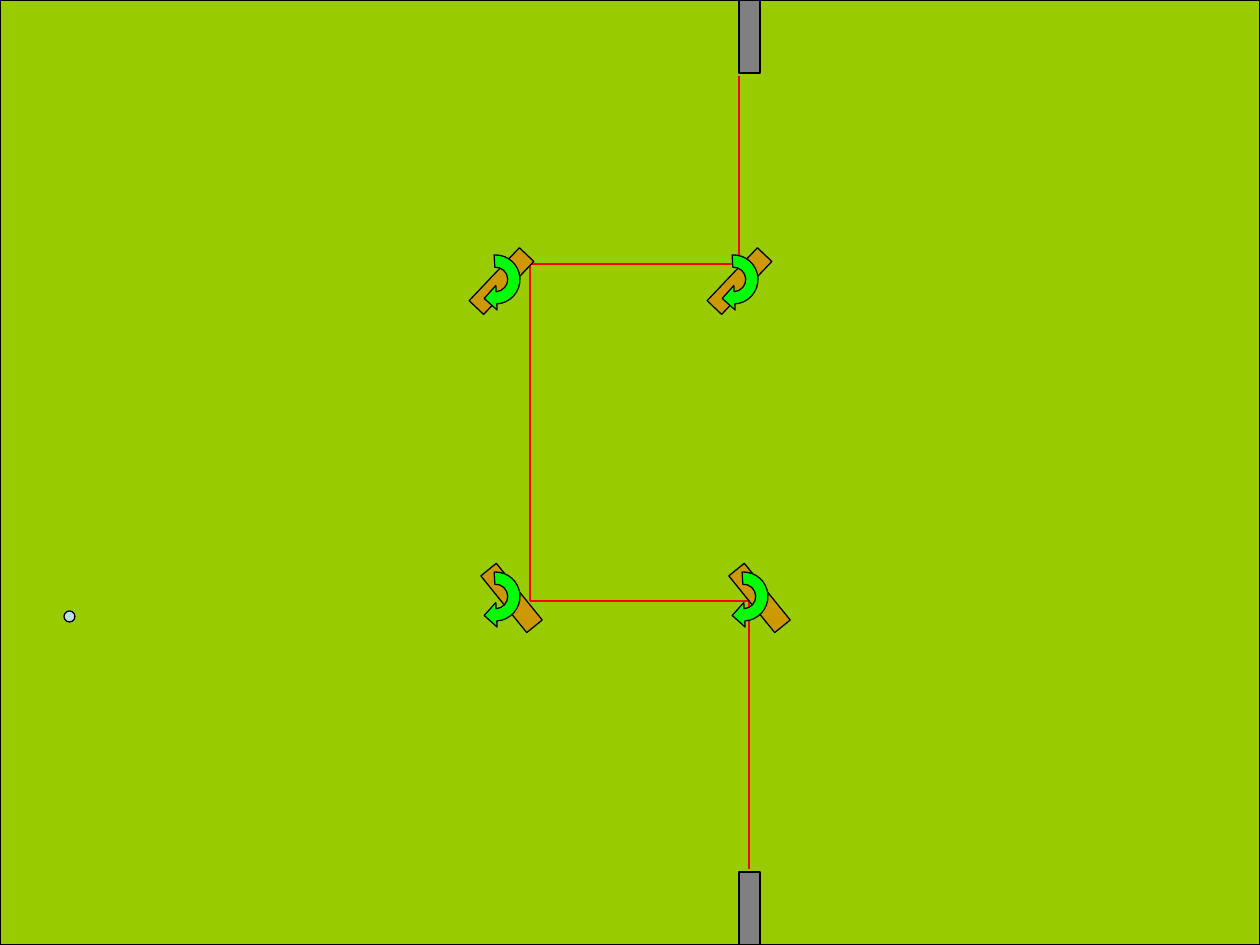
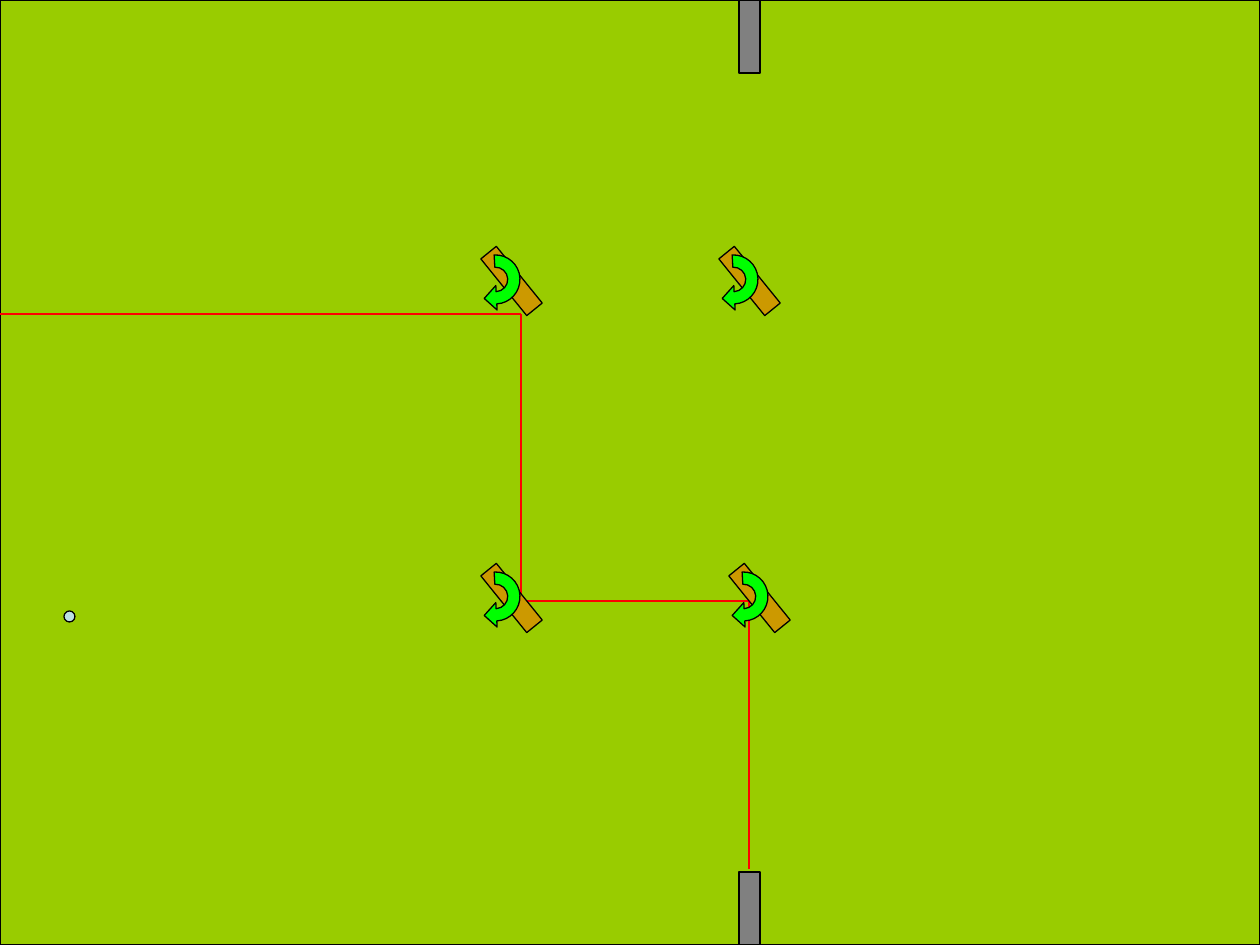
import pptx
import pptx.util
import pptx.dml.color
import pptx.enum.shapes
import pptx.oxml

# Content, in px
WIDTH, HEIGHT = 1260, 945
COLORS = {"field": "99CC00", "gate": "808080", "beam": "FF0000", "paddle": "CC9900",
          "turn": "00FF00", "ball": "BBE0E3", "outline": "000000"}
GATE_X, GATE_W, GATE_H = 739, 21, 73
BALL = (64, 611, 11, 11)
PADDLE_W, PADDLE_H = 73, 20
TURN_SIZE, TURN_ROTATION = 49, 86.9

# Lean of a paddle: its rotation and its offset from the turn arrow's box
LEANS = {"back": (51, 4, 16), "forward": (313.5, -6, 16)}

# Turn arrow around its centre, in hundredths of an eighth of its radius
OUTER_R, INNER_R = 800, 400
HEAD = [(1000, 0), (600, 400), (200, 0)]
KAPPA = 0.5523  # handle length of a quarter circle

# Each scene: corners of the beam, paddles as (turn left, turn top, lean),
# and whether the ball lies over the paddles
LOWER_RIGHT, LOWER_LEFT = (719, 572, "back"), (471, 572, "back")
SCENES = [
    {"beam": [(749, 869), (749, 601), (530, 601), (530, 264), (739, 264), (739, 76)],
     "paddles": [LOWER_RIGHT, LOWER_LEFT, (471, 255, "forward"), (709, 255, "forward")],
     "ball_on_top": True},
    {"beam": [(749, 869), (749, 601), (521, 601), (521, 314), (0, 314)],
     "paddles": [LOWER_LEFT, (471, 255, "back"), (709, 255, "back"), LOWER_RIGHT],
     "ball_on_top": False},
]

SHAPES = pptx.enum.shapes.MSO_SHAPE
LINE_WIDTH = pptx.util.Pt(0.75)
NS = 'xmlns:a="http://schemas.openxmlformats.org/drawingml/2006/main"'


def px(length):
    return round(length * 914400 / 126)


def rgb(name):
    return pptx.dml.color.RGBColor.from_string(COLORS[name])


def paint(shape, color):
    shape.shadow.inherit = False
    shape.fill.solid()
    shape.fill.fore_color.rgb = rgb(color)
    shape.line.color.rgb = rgb("outline")
    shape.line.width = LINE_WIDTH


def add_part(shapes, kind, box, color):
    part = shapes.add_shape(kind, *map(px, box))
    paint(part, color)
    return part


def add_beam(shapes, corners):
    for start, end in zip(corners, corners[1:]):
        ray = shapes.add_connector(pptx.enum.shapes.MSO_CONNECTOR.STRAIGHT,
                                   *map(px, start + end))
        ray.line.color.rgb = rgb("beam")
        ray.line.width = LINE_WIDTH
        ray._element.spPr.append(pptx.oxml.parse_xml(f"<a:effectLst {NS}/>"))


def step(tag, *points):
    # One path command, measured from the corner of the arrow's box
    pts = "".join(f'<a:pt x="{round(x + OUTER_R)}" y="{round(y + OUTER_R)}"/>'
                  for x, y in points)
    return f"<a:{tag}>{pts}</a:{tag}>"


def half_ring(radius, side):
    # Two quarter curves over the top, from (-side * radius, 0) to (side * radius, 0)
    x, k = side * radius, KAPPA * radius
    return (step("cubicBezTo", (-x, -k), (-side * k, -radius), (0, -radius))
            + step("cubicBezTo", (side * k, -radius), (x, -k), (x, 0)))


def add_turn(shapes, left, top):
    corners = [(INNER_R, 0), (-INNER_R, 0), (-OUTER_R, 0), (OUTER_R, 0)] + HEAD
    builder = shapes.build_freeform(*corners[0])
    builder.add_line_segments(corners[1:], close=True)
    turn = builder.convert_to_shape()

    # Bend the ring's sides and let the box span the whole circle
    outline = (step("moveTo", corners[0]) + half_ring(INNER_R, -1)
               + step("lnTo", (-OUTER_R, 0)) + half_ring(OUTER_R, 1)
               + "".join(step("lnTo", point) for point in HEAD) + "<a:close/>")
    straight = turn._element.spPr.find(".//" + "{*}pathLst")[0]
    straight.getparent().replace(straight, pptx.oxml.parse_xml(
        f'<a:path {NS} w="{2 * OUTER_R}" h="{2 * OUTER_R}">{outline}</a:path>'))
    turn.left, turn.top = px(left), px(top)
    turn.width = turn.height = px(TURN_SIZE)
    turn.rotation = TURN_ROTATION
    paint(turn, "turn")


def add_paddle(shapes, left, top, lean):
    group = shapes.add_group_shape()
    rotation, dx, dy = LEANS[lean]
    paddle = add_part(group.shapes, SHAPES.RECTANGLE,
                      (left + dx, top + dy, PADDLE_W, PADDLE_H), "paddle")
    paddle.rotation = rotation
    add_turn(group.shapes, left, top)

    # Fit the group to its final parts, at a scale of one
    group._element.recalculate_extents()


def add_scene(deck, scene):
    shapes = deck.slides.add_slide(deck.slide_layouts[6]).shapes
    add_part(shapes, SHAPES.RECTANGLE, (0, 0, WIDTH, HEIGHT), "field")
    for gate_y in (HEIGHT - GATE_H, 0):
        add_part(shapes, SHAPES.RECTANGLE, (GATE_X, gate_y, GATE_W, GATE_H), "gate")
    add_beam(shapes, scene["beam"])
    if not scene["ball_on_top"]:
        add_part(shapes, SHAPES.OVAL, BALL, "ball")
    for paddle in scene["paddles"]:
        add_paddle(shapes, *paddle)
    if scene["ball_on_top"]:
        add_part(shapes, SHAPES.OVAL, BALL, "ball")


def main():
    deck = pptx.Presentation()
    deck.slide_width, deck.slide_height = px(WIDTH), px(HEIGHT)
    for scene in SCENES:
        add_scene(deck, scene)
    deck.save("out.pptx")


if __name__ == "__main__":
    main()
